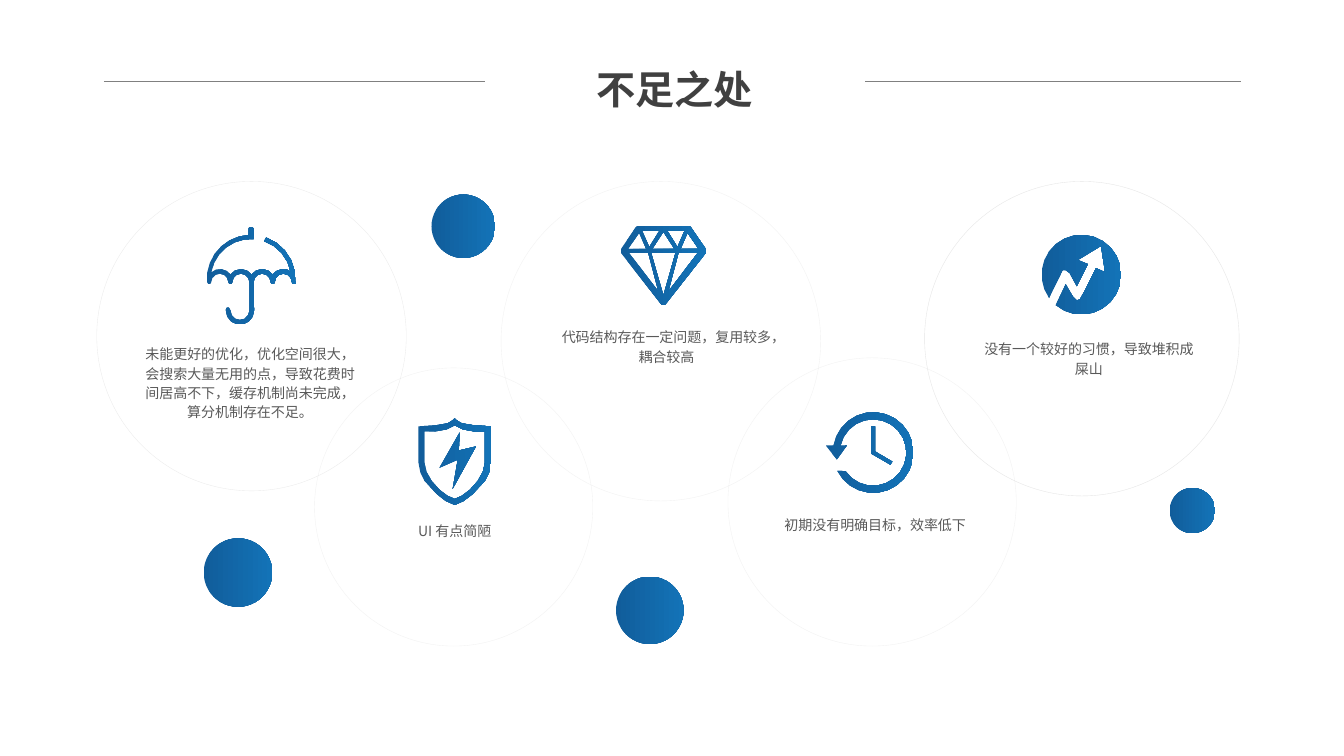
from math import cos, radians, sin
from pptx import Presentation
from pptx.dml.color import RGBColor as RGB
from pptx.enum.shapes import MSO_CONNECTOR as LINK, MSO_SHAPE as SHAPE
from pptx.enum.text import MSO_ANCHOR as ANCHOR, MSO_AUTO_SIZE as FIT, PP_ALIGN as ALIGN
from pptx.oxml.ns import qn
from pptx.util import Inches, Pt
from lxml.etree import SubElement

FONT = "Noto Sans CJK SC"
HUE = {"dark": "115D9B", "light": "1373B7", "ring": "BFBFBF",
       "title": "404040", "body": "595959", "rule": "808080"}


def write(text, box, at, size, hue, bold=False, space=1.0):
    """Place a text box or placeholder and fill it with centred text."""
    box.left, box.top, box.width, box.height = map(Inches, at)
    frame = box.text_frame
    frame.word_wrap, frame.auto_size = True, FIT.NONE
    frame.vertical_anchor = ANCHOR.TOP
    para = frame.paragraphs[0]
    para.alignment, para.line_spacing = ALIGN.CENTER, space
    run = para.add_run()
    run.text = text
    run.font.name, run.font.size, run.font.bold = FONT, Pt(size), bold
    run.font.color.rgb = RGB.from_string(HUE[hue])
    SubElement(run.font._element, qn("a:ea")).set("typeface", FONT)


def arc(x, y, r, start, end):
    """Points on an arc, in degrees clockwise from the right."""
    steps = max(2, round(abs(end - start) * r ** 0.5 / 9))
    turns = [radians(start + (end - start) * i / steps) for i in range(steps + 1)]
    return [(x + r * cos(t), y + r * sin(t)) for t in turns]


deck = Presentation()
deck.slide_width, deck.slide_height = Inches(13.33), Inches(7.5)
slide = deck.slides.add_slide(deck.slide_layouts[5])
shapes = slide.shapes
blue = []

# Heading between two rules
write("不足之处", shapes.title, (4.46, 0.5, 4.46, 0.64), 28, "title", bold=True, space=1.2)
for left, right in [(1.03, 4.81), (8.58, 12.31)]:
    rule = shapes.add_connector(LINK.STRAIGHT, Inches(left), Inches(0.81),
                                Inches(right), Inches(0.81))
    rule.line.color.rgb = RGB.from_string(HUE["rule"])
    rule.line.width = Pt(0.5)
    SubElement(rule._element.spPr, qn("a:effectLst"))

# Loose dots
for x, y, size in [(4.28, 1.93, 0.63), (11.6, 4.84, 0.45),
                   (6.11, 5.72, 0.67), (2.02, 5.34, 0.68)]:
    blue.append(shapes.add_shape(SHAPE.OVAL, Inches(x), Inches(y),
                                 Inches(size), Inches(size)))

# Umbrella: shaft and canopy, scallops from left to right, then back with the hook
brolly = arc(2.49, 2.27, 0.025, 180, 360) + arc(2.49, 2.77, 0.4, 274, 190)
for x, start, end in [(2.18, 231, 324), (2.39, 216, 324),
                      (2.6, 216, 324), (2.81, 216, 308)]:
    brolly += arc(x, 2.8, 0.13, start, end)
brolly += arc(2.49, 2.77, 0.4, 350, 289) + arc(2.49, 2.77, 0.44, 290, 364)
brolly += arc(2.915, 2.8, 0.02, 0, 180)
for x in (2.81, 2.6, 2.39, 2.18):
    brolly += arc(x, 2.8, 0.085, 360, 180)
    if x == 2.6:
        brolly += arc(2.38, 3.08, 0.14, 0, 180) + arc(2.26, 3.07, 0.02, 180, 360)
        brolly += arc(2.38, 3.08, 0.095, 180, 0)
    else:
        brolly += arc(x - 0.105, 2.8, 0.02, 0, 180)
brolly += arc(2.49, 2.77, 0.44, 176, 267)

# Shield: left halves mirrored on the middle, with a bolt inside
rim = [(4.51, 4.15), (4.49, 4.17), (4.44, 4.2), (4.32, 4.22), (4.15, 4.23), (4.15, 4.59),
       (4.17, 4.69), (4.21, 4.77), (4.33, 4.9), (4.42, 4.97), (4.51, 5.01)]
hole = [(4.51, 4.22), (4.43, 4.26), (4.32, 4.28), (4.21, 4.28), (4.21, 4.59),
        (4.23, 4.68), (4.28, 4.77), (4.36, 4.86), (4.44, 4.92), (4.51, 4.95)]
bolt = [(4.56, 4.29), (4.36, 4.64), (4.54, 4.56), (4.49, 4.85), (4.72, 4.43), (4.55, 4.47)]
shield = [half + [(9.02 - x, y) for x, y in half[-2:0:-1]] for half in (rim, hole)] + [bolt]

# Diamond: outline, middle facets, and side facets on both sides
gem = [[(6.16, 2.47), (6.31, 2.25), (6.34, 2.24), (6.82, 2.24), (6.85, 2.25), (7, 2.47),
        (7, 2.51), (6.6, 3.02), (6.58, 3.03), (6.56, 3.02), (6.16, 2.51)],
       [(6.7, 2.51), (6.58, 2.93), (6.46, 2.51)], [(6.47, 2.47), (6.58, 2.3), (6.69, 2.47)]]
for facet in [[(6.44, 2.45), (6.37, 2.29), (6.54, 2.29)],
              [(6.53, 2.89), (6.24, 2.51), (6.43, 2.51)],
              [(6.34, 2.31), (6.41, 2.47), (6.23, 2.47)]]:
    gem += [facet, [(13.16 - x, y) for x, y in facet]]

# Clock with a turning arrow
clock = [arc(8.66, 4.49, 0.4, 190, 513) + arc(8.66, 4.49, 0.33, 506, 192)
         + [(8.4, 4.42), (8.3, 4.56), (8.19, 4.42)],
         [(8.64, 4.23), (8.64, 4.5), (8.83, 4.61), (8.85, 4.58), (8.68, 4.48), (8.68, 4.23)]]

# Disc cut by a rising arrow
trend = [arc(10.725, 2.725, 0.395, 144, 490) + [
    (10.57, 2.82), (10.64, 2.94), (10.68, 2.98), (10.71, 2.97), (10.75, 2.9), (10.8, 2.8),
    (10.87, 2.66), (10.96, 2.7), (10.92, 2.44), (10.69, 2.58), (10.79, 2.62), (10.68, 2.84),
    (10.61, 2.71), (10.57, 2.68), (10.54, 2.68), (10.5, 2.76), (10.45, 2.86)]]

# Each point: ring (x, y, size, opacity), icon, text (x, y, height)
points = [
    ((0.96, 1.8, 3.07, 30), [brolly], (1.3, 3.36, 0.86),
     "未能更好的优化，优化空间很大，会搜索大量无用的点，导致花费时间居高不下，缓存机制尚未完成，算分机制存在不足。"),
    ((3.12, 3.65, 2.76, 20), shield, (3.33, 5.11, 0.28), "UI 有点简陋"),
    ((4.97, 1.8, 3.17, 20), gem, (5.43, 3.19, 0.47), "代码结构存在一定问题，复用较多，耦合较高"),
    ((7.22, 3.55, 2.86, 20), clock, (7.5, 5.05, 0.28), "初期没有明确目标，效率低下"),
    ((9.17, 1.8, 3.12, 40), trend, (9.62, 3.31, 0.47), "没有一个较好的习惯，导致堆积成屎山"),
]
for (x, y, size, alpha), icon, (left, top, high), text in points:
    ring = shapes.add_shape(SHAPE.OVAL, Inches(x), Inches(y), Inches(size), Inches(size))
    ring.shadow.inherit = False
    ring.fill.background()
    ring.line.color.rgb = RGB.from_string(HUE["ring"])
    ring.line.width = Pt(0.25)
    tint = ring.line._ln.find(".//" + qn("a:srgbClr"))
    SubElement(tint, qn("a:alpha")).set("val", str(alpha * 1000))

    pen = None
    for loop in icon:
        spots = [(Inches(a), Inches(b)) for a, b in loop]
        if pen is None:
            pen = shapes.build_freeform(*spots[0])
        else:
            pen.move_to(*spots[0])
        pen.add_line_segments(spots[1:], close=True)
    blue.append(pen.convert_to_shape())

    box = shapes.add_textbox(0, 0, 0, 0)
    write(text, box, (left, top, 2.36, high), 10, "body", space=1.14)

# Blue gradient for dots and icons
for shape in blue:
    shape.shadow.inherit = False
    shape.line.fill.background()
    shape.fill.gradient()
    shape.fill.gradient_angle = 0
    for stop, name in zip(shape.fill.gradient_stops, ("dark", "light")):
        stop.color.rgb = RGB.from_string(HUE[name])

deck.save("out.pptx")
